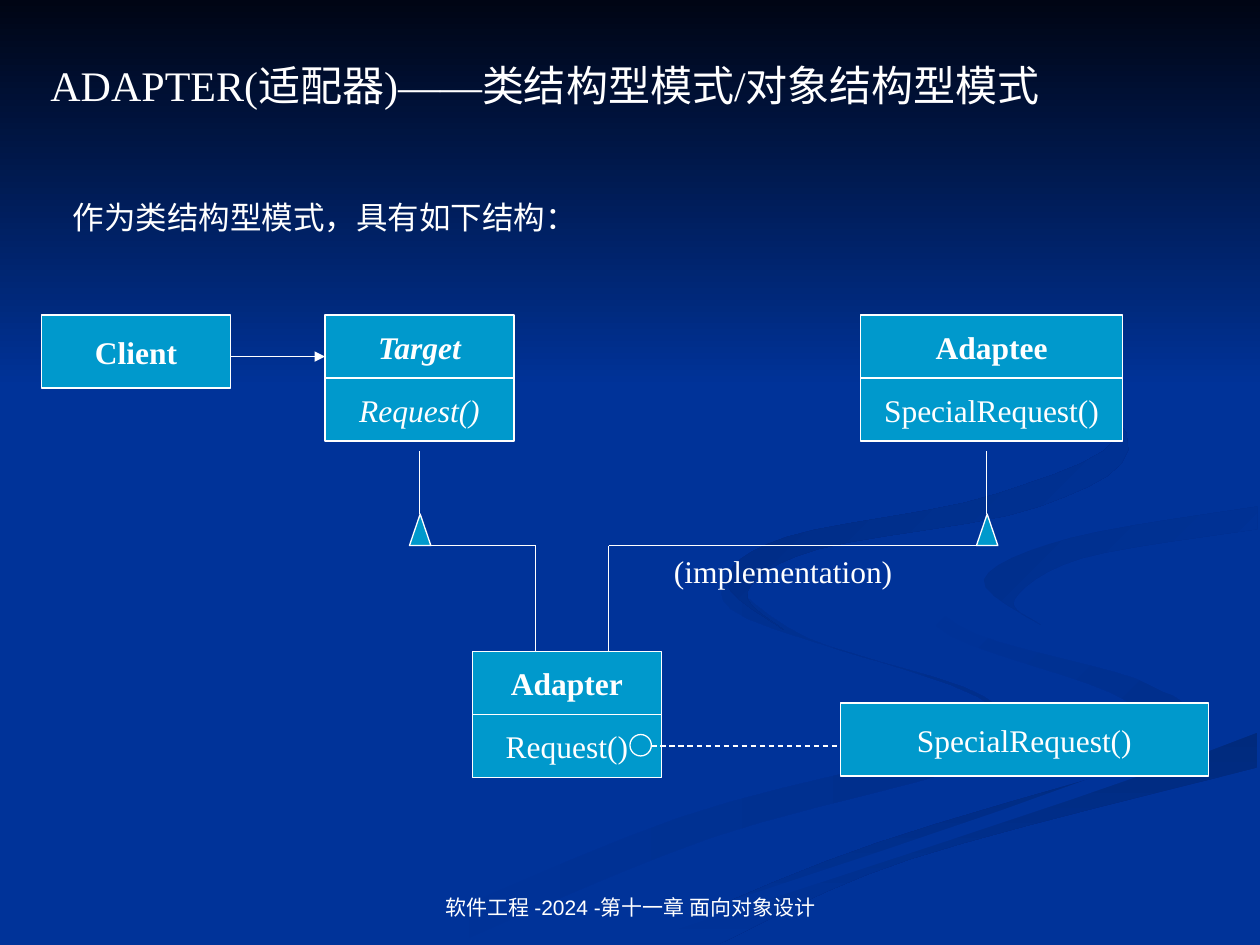
from dataclasses import dataclass

from lxml.etree import SubElement
from pptx import Presentation
from pptx.dml.color import RGBColor
from pptx.enum.dml import MSO_LINE
from pptx.enum.shapes import MSO_CONNECTOR, MSO_SHAPE
from pptx.enum.text import MSO_ANCHOR, MSO_AUTO_SIZE, PP_ALIGN
from pptx.oxml.ns import qn
from pptx.util import Inches, Pt

WHITE = RGBColor(0xFF, 0xFF, 0xFF)
BOX_BLUE = RGBColor(0x00, 0x99, 0xCC)
BACKGROUND = RGBColor(0x00, 0x33, 0x99)
NIGHT = RGBColor(0x00, 0x05, 0x14)
SHADE = RGBColor(0x00, 0x2E, 0x8B)
DEEP_SHADE = RGBColor(0x00, 0x2A, 0x7D)
SERIF = "Times New Roman"
LINE_WIDTH = Pt(0.75)
ROW = 0.5
CURVE_STEPS = 6

Point = tuple[float, float]


@dataclass
class Ribbon:
    outer: list[Point]
    inner: list[Point]
    start: RGBColor
    end: RGBColor
    angle: int = 45


@dataclass
class ClassBox:
    name: str
    operation: str
    left: float
    top: float
    width: float
    abstract: bool = False


@dataclass
class Link:
    start: Point
    end: Point
    dashed: bool = False
    arrow: bool = False


# Background ribbons, from back to front; both edges run the same way
RIBBONS = [
    Ribbon([(5.75, 4.59), (6.42, 5.07), (7.81, 5.53), (7.86, 6.01), (5.64, 6.65), (3.61, 7.49)],
           [(5.75, 4.59), (5.93, 4.91), (7.76, 5.53), (7.59, 5.9), (5.39, 6.49), (3, 7.49)],
           BACKGROUND, SHADE, 0),
    Ribbon([(7.24, 4.64), (7.74, 5.03), (9.05, 5.4), (9.43, 5.7), (8.94, 6.05)],
           [(7.24, 4.64), (7.55, 5.05), (8.8, 5.49), (9.18, 5.81), (8.94, 6.05)],
           BACKGROUND, SHADE),
    Ribbon([(5.03, 7.49), (6.96, 6.69), (9.98, 5.81)],
           [(5.71, 7.49), (7.22, 6.82), (9.98, 6.09)], DEEP_SHADE, BACKGROUND, 90),
    Ribbon([(9.99, 3.87), (8.3, 4.15), (7.25, 4.64), (9.05, 5.4), (9.26, 5.93), (4.77, 7.49)],
           [(9.99, 4.02), (8.5, 4.27), (7.81, 4.63), (9.99, 5.38), (9.99, 5.81), (5.03, 7.49)],
           BACKGROUND, BACKGROUND),
    Ribbon([(9.98, 4.02), (8.5, 4.27), (7.81, 4.6), (8.26, 4.96)],
           [(9.98, 4.2), (8.59, 4.43), (8.05, 4.76), (8.26, 4.96)], SHADE, BACKGROUND),
    Ribbon([(7.62, 2.33), (8.94, 3.44), (8.25, 4.02), (6.49, 4.36), (5.93, 4.7), (6.22, 5)],
           [(7.62, 2.33), (8.89, 3.35), (7.91, 3.92), (6.25, 4.26), (5.77, 4.62), (6.22, 5)],
           DEEP_SHADE, BACKGROUND),
]

CLASSES = [
    ClassBox("Target", "Request()", 2.58, 2.5, 1.5, abstract=True),
    ClassBox("Adaptee", "SpecialRequest()", 6.83, 2.5, 2.08),
    ClassBox("Adapter", "Request()", 3.75, 5.17, 1.5),
]

# Each pair: centre of the parent class, where its line enters Adapter
INHERITANCES = [(3.33, 4.25), (7.83, 4.83)]
LINKS = [
    Link((1.83, 2.83), (2.58, 2.83), arrow=True),
    Link((5.17, 5.92), (6.67, 5.92), dashed=True),
]


def write_text(shape, text: str, *, size: float = 18, font: str = SERIF, bold: bool = False,
               italic: bool = False, align=PP_ALIGN.LEFT, anchor=MSO_ANCHOR.TOP,
               wrap: bool = False) -> None:
    frame = shape.text_frame
    frame.auto_size = MSO_AUTO_SIZE.NONE
    frame.word_wrap = wrap
    frame.vertical_anchor = anchor
    paragraph = frame.paragraphs[0]
    paragraph.text = text
    paragraph.alignment = align
    paragraph.font.size = Pt(size)
    paragraph.font.name = font
    paragraph.font.bold = bold
    paragraph.font.italic = italic
    paragraph.font.color.rgb = WHITE


def smooth(anchors: list[Point]) -> list[Point]:
    """Run a Catmull-Rom curve through the anchors."""
    padded = [anchors[0], *anchors, anchors[-1]]
    curve = []
    for a, b, c, d in zip(padded, padded[1:], padded[2:], padded[3:]):
        for step in range(CURVE_STEPS):
            t = step / CURVE_STEPS
            curve.append(tuple(
                q + t / 2 * (r - p + t * (2 * p - 5 * q + 4 * r - s + t * (3 * (q - r) + s - p)))
                for p, q, r, s in zip(a, b, c, d)))
    return curve + [anchors[-1]]


def fill_gradient(shape, start: RGBColor, end: RGBColor, angle: int) -> None:
    shape.shadow.inherit = False
    shape.line.fill.background()
    shape.fill.gradient()
    shape.fill.gradient_angle = -angle % 360
    for position, color in enumerate((start, end)):
        stop = shape.fill.gradient_stops[position]
        stop.color.rgb = color
        stop.position = position


def draw_ribbon(slide, ribbon: Ribbon) -> None:
    outline = smooth(ribbon.outer) + smooth(ribbon.inner)[::-1]
    points = [(Inches(min(x, 10)), Inches(y)) for x, y in outline]
    builder = slide.shapes.build_freeform(*points[0])
    builder.add_line_segments(points[1:], close=True)
    fill_gradient(builder.convert_to_shape(), ribbon.start, ribbon.end, ribbon.angle)


def draw_shape(slide, kind, left: float, top: float, width: float, height: float):
    shape = slide.shapes.add_shape(kind, Inches(left), Inches(top), Inches(width), Inches(height))
    shape.shadow.inherit = False
    shape.fill.solid()
    shape.fill.fore_color.rgb = BOX_BLUE
    shape.line.color.rgb = WHITE
    shape.line.width = LINE_WIDTH
    return shape


def draw_box(slide, text: str, left: float, top: float, width: float, height: float = ROW,
             **text_format) -> None:
    shape = draw_shape(slide, MSO_SHAPE.RECTANGLE, left, top, width, height)
    write_text(shape, text, align=PP_ALIGN.CENTER, anchor=MSO_ANCHOR.MIDDLE, **text_format)


def draw_class(slide, box: ClassBox) -> None:
    draw_box(slide, box.name, box.left, box.top, box.width, bold=True, italic=box.abstract)
    draw_box(slide, box.operation, box.left, box.top + ROW, box.width, italic=box.abstract)


def draw_link(slide, link: Link) -> None:
    ends = [Inches(value) for value in link.start + link.end]
    connector = slide.shapes.add_connector(MSO_CONNECTOR.STRAIGHT, *ends)
    connector.line.color.rgb = WHITE
    connector.line.width = LINE_WIDTH
    if link.dashed:
        connector.line.dash_style = MSO_LINE.DASH
    if link.arrow:
        SubElement(connector.line._get_or_add_ln(), qn("a:tailEnd"), type="triangle")
    SubElement(connector._element.spPr, qn("a:effectLst"))


def draw_inheritance(slide, parent: float, entry: float) -> None:
    draw_link(slide, Link((parent, 3.58), (parent, 4.08)))
    draw_shape(slide, MSO_SHAPE.ISOSCELES_TRIANGLE, parent - 0.08, 4.08, 0.17, 0.25)
    draw_link(slide, Link((entry, 4.33), (entry, 5.17)))
    draw_link(slide, Link((min(parent, entry), 4.33), (max(parent, entry), 4.33)))


def draw_label(slide, text: str, left: float, top: float, width: float, height: float,
               **text_format) -> None:
    shape = slide.shapes.add_textbox(Inches(left), Inches(top), Inches(width), Inches(height))
    write_text(shape, text, **text_format)


def main() -> None:
    presentation = Presentation()
    presentation.slide_width, presentation.slide_height = Inches(10), Inches(7.5)
    slide = presentation.slides.add_slide(presentation.slide_layouts[5])

    # Background
    slide.background.fill.solid()
    slide.background.fill.fore_color.rgb = BACKGROUND
    for ribbon in RIBBONS:
        draw_ribbon(slide, ribbon)
    sky = draw_shape(slide, MSO_SHAPE.RECTANGLE, 0, 0, 10, 3.08)
    fill_gradient(sky, NIGHT, BACKGROUND, 90)

    # Title, raised above the background, and the other texts
    title = slide.shapes.title
    slide.shapes._spTree.append(title._element)
    title.left, title.top, title.width, title.height = map(Inches, (0.3, 0.42, 8.45, 0.5))
    write_text(title, "ADAPTER(适配器)——类结构型模式/对象结构型模式", size=24)
    draw_label(slide, "作为类结构型模式，具有如下结构：", 0.48, 1.52, 4.2, 0.4)
    draw_label(slide, "软件工程 -2024 -第十一章 面向对象设计", 3.42, 6.83, 3.17, 0.52, size=12,
               font="Arial", align=PP_ALIGN.CENTER, anchor=MSO_ANCHOR.BOTTOM, wrap=True)

    # Class diagram
    draw_box(slide, "Client", 0.33, 2.5, 1.5, 0.58, bold=True)
    for box in CLASSES:
        draw_class(slide, box)
    for parent, entry in INHERITANCES:
        draw_inheritance(slide, parent, entry)
    draw_box(slide, "SpecialRequest()", 6.67, 5.58, 2.92, 0.58)
    draw_shape(slide, MSO_SHAPE.OVAL, 5, 5.83, 0.17, 0.17)
    for link in LINKS:
        draw_link(slide, link)
    draw_label(slide, "(implementation)", 5.25, 4.33, 1.93, 0.4)

    presentation.save("out.pptx")


if __name__ == "__main__":
    main()
